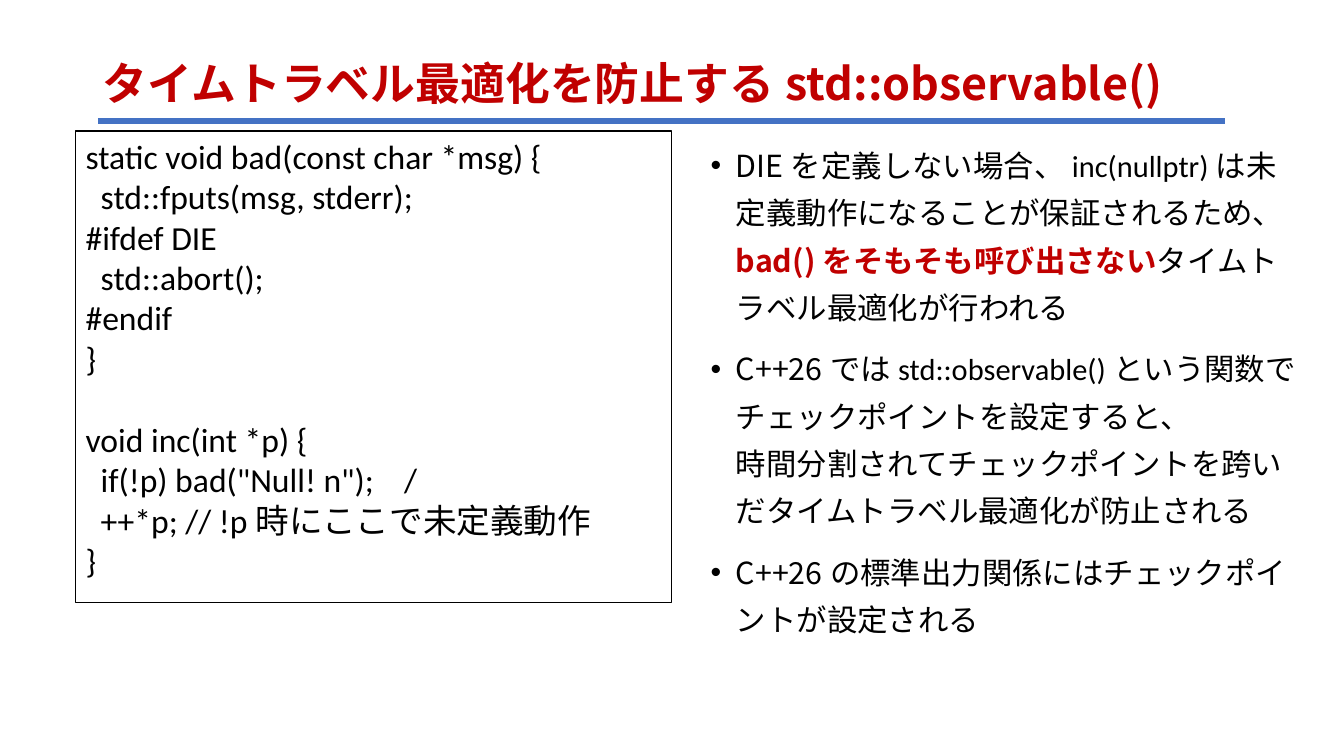
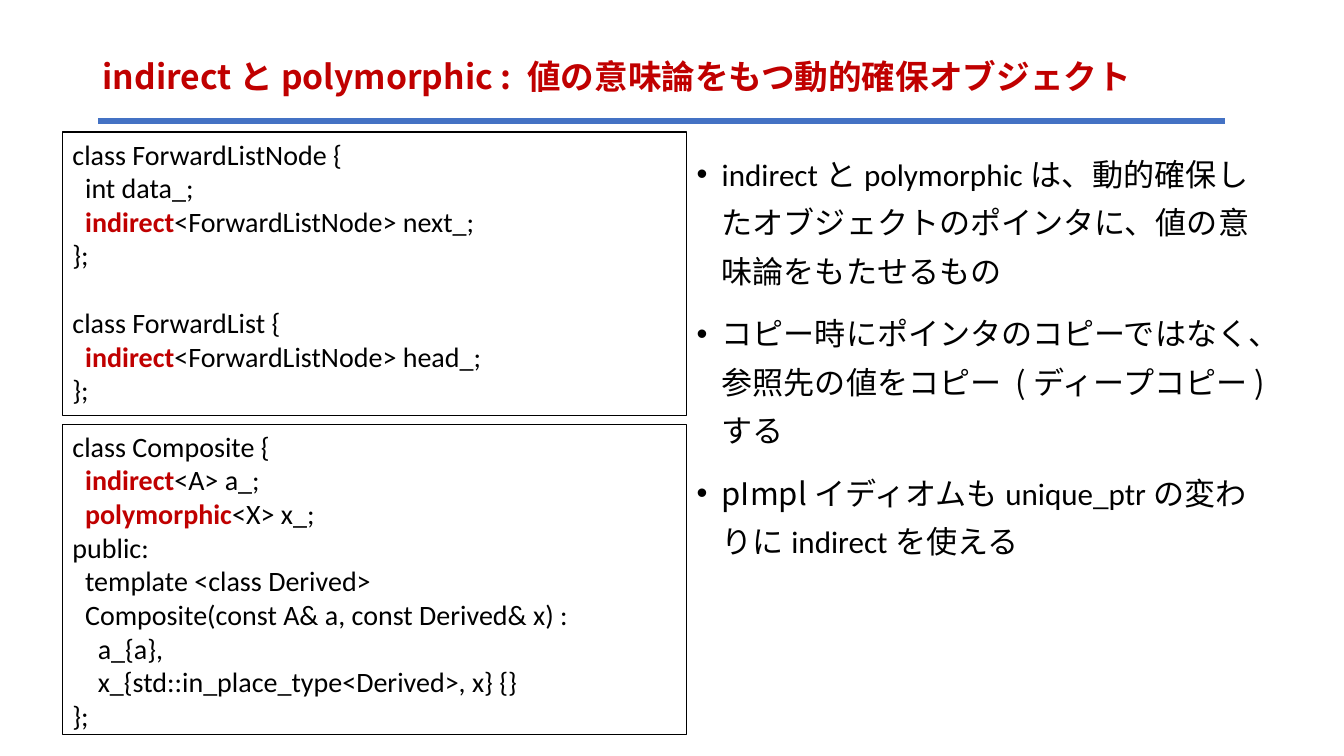
from pptx import Presentation
from pptx.dml.color import RGBColor
from pptx.enum.shapes import MSO_CONNECTOR, MSO_SHAPE
from pptx.enum.text import MSO_ANCHOR, PP_ALIGN
from pptx.oxml.ns import qn
from pptx.util import Inches, Pt
from lxml import etree

RECTANGLE, STRAIGHT = MSO_SHAPE.RECTANGLE, MSO_CONNECTOR.STRAIGHT
TOP, MIDDLE, LEFT = MSO_ANCHOR.TOP, MSO_ANCHOR.MIDDLE, PP_ALIGN.LEFT

COLORS = {"text": "000000", "accent": "C00000", "rule": "4472C4", "paper": "FFFFFF"}
LATIN, JAPANESE = "Calibri", "Noto Sans CJK JP"

# Run styles: font, colour, bold
STYLES = {
    "title": (JAPANESE, "accent", True),
    "body": (JAPANESE, "text", False),
    "strong": (JAPANESE, "accent", True),
    "code": (LATIN, "text", False),
    "keyword": (LATIN, "accent", True),
}


def color(name):
    return RGBColor.from_string(COLORS[name])


class Deck:
    def __init__(self):
        self.prs = Presentation()
        self.prs.slide_width, self.prs.slide_height = Inches(13.33), Inches(7.5)
        self.slide = None

    def add_runs(self, paragraph, pieces, size, default):
        """Fill a paragraph from strings and (text, style) pairs."""
        for piece in pieces:
            text, style = (piece, default) if isinstance(piece, str) else piece
            font_name, color_name, bold = STYLES[style]
            for index, line in enumerate(text.split("\n")):
                if index:
                    paragraph.add_line_break()
                run = paragraph.add_run()
                run.text = line
                font = run.font
                font.name, font.size, font.bold = font_name, Pt(size), bold
                font.color.rgb = color(color_name)
                east_asian = etree.Element(qn("a:ea"), typeface=JAPANESE)
                font._element.find(qn("a:latin")).addnext(east_asian)

    def text_box(self, left, top, width, height, anchor=TOP):
        box = self.slide.shapes.add_textbox(
            Inches(left), Inches(top), Inches(width), Inches(height))
        frame = box.text_frame
        frame.word_wrap, frame.vertical_anchor = True, anchor
        return frame

    def start_slide(self, title, size, top):
        """Add a slide with its title and the rule below it."""
        self.slide = self.prs.slides.add_slide(self.prs.slide_layouts[6])
        paragraph = self.text_box(0.92, top, 11.5, 0.9, MIDDLE).paragraphs[0]
        paragraph.line_spacing = 0.9
        self.add_runs(paragraph, [title], size, "title")
        rule = self.slide.shapes.add_connector(
            STRAIGHT, Inches(0.97), Inches(1.2), Inches(12.15), Inches(1.2))
        rule.line.color.rgb, rule.line.width = color("rule"), Pt(3.75)
        etree.SubElement(rule._element.spPr, qn("a:effectLst"))

    def bullets(self, left, top, width, height, size, items):
        frame = self.text_box(left, top, width, height)
        for index, pieces in enumerate(items):
            paragraph = frame.add_paragraph() if index else frame.paragraphs[0]
            paragraph.line_spacing, paragraph.space_before = 1.3, Pt(10)
            props = paragraph._p.get_or_add_pPr()
            indent = Inches(0.25)
            props.set("marL", str(indent))
            props.set("indent", str(-indent))
            etree.SubElement(props, qn("a:buFont"), typeface="Arial")
            etree.SubElement(props, qn("a:buChar"), char="•")
            self.add_runs(paragraph, pieces, size, "body")

    def code(self, left, top, width, height, size, blocks):
        """Add a framed listing; blocks stand one line apart."""
        panel = self.slide.shapes.add_shape(
            RECTANGLE, Inches(left), Inches(top), Inches(width), Inches(height))
        panel.shadow.inherit = False
        panel.fill.solid()
        panel.fill.fore_color.rgb = color("paper")
        panel.line.color.rgb, panel.line.width = color("text"), Pt(1)
        frame = panel.text_frame
        frame.word_wrap, frame.vertical_anchor = True, TOP
        paragraph = frame.paragraphs[0]
        for block_index, block in enumerate(blocks):
            for line_index, line in enumerate(block):
                if block_index or line_index:
                    paragraph = frame.add_paragraph()
                if block_index and not line_index:
                    paragraph.space_before = Pt(round(size * 1.22, 1))
                paragraph.alignment = LEFT
                pieces = [line] if isinstance(line, str) else line
                self.add_runs(paragraph, pieces, size, "code")

    def code_mark(self, left, top, width, height, size, text):
        frame = self.text_box(left, top, width, height)
        self.add_runs(frame.paragraphs[0], [text], size, "code")


def observable_slide(deck):
    deck.start_slide("タイムトラベル最適化を防止するstd::observable()", 32, 0.4)
    deck.bullets(6.95, 1.3, 6.01, 5.8, 21.7, [
        ["DIEを定義しない場合、", ("inc(nullptr)", "code"),
         "は未定義動作になることが保証されるため、",
         ("bad()をそもそも呼び出さない", "strong"),
         "タイムトラベル最適化が行われる"],
        ["C++26では", ("std::observable()", "code"),
         "という関数でチェックポイントを設定すると、\n"
         "時間分割されてチェックポイントを跨いだタイムトラベル最適化が防止される"],
        ["C++26の標準出力関係にはチェックポイントが設定される"],
    ])
    deck.code(0.75, 1.3, 5.91, 4.68, 24, [
        ["static void bad(const char *msg) {",
         "  std::fputs(msg, stderr);",
         "#ifdef DIE",
         "  std::abort();",
         "#endif",
         "}"],
        ["void inc(int *p) {",
         '  if(!p) bad("Null! n");',
         "  ++*p; // !p時にここで未定義動作",
         "}"],
    ])
    deck.code_mark(3.91, 4.5, 0.44, 0.5, 24, "/")


def indirect_slide(deck):
    indirect = ("indirect", "keyword")
    deck.start_slide("indirectとpolymorphic : 値の意味論をもつ動的確保オブジェクト", 24, 0.33)
    deck.bullets(6.81, 1.38, 5.89, 4.16, 22.2, [
        [("indirect", "code"), "と", ("polymorphic", "code"),
         "は、動的確保したオブジェクトのポインタに、値の意味論をもたせるもの"],
        ["コピー時にポインタのコピーではなく、参照先の値をコピー (ディープコピー)する"],
        ["pImplイディオムも", ("unique_ptr", "code"), "の変わりに",
         ("indirect", "code"), "を使える"],
    ])
    # List example
    deck.code(0.62, 1.31, 6.19, 2.81, 20, [
        ["class ForwardListNode {",
         "  int data_;",
         ["  ", indirect, "<ForwardListNode> next_;"],
         "};"],
        ["class ForwardList {",
         ["  ", indirect, "<ForwardListNode> head_;"],
         "};"],
    ])
    # Composite example
    deck.code(0.62, 4.21, 6.19, 3.08, 20, [
        ["class Composite {",
         ["  ", indirect, "<A> a_;"],
         ["  ", ("polymorphic", "keyword"), "<X> x_;"],
         "public:",
         "  template <class Derived>",
         "  Composite(const A& a, const Derived& x) :",
         "    a_{a},",
         "    x_{std::in_place_type<Derived>, x} {}",
         "};"],
    ])


def main():
    deck = Deck()
    observable_slide(deck)
    indirect_slide(deck)
    deck.prs.save("out.pptx")


if __name__ == "__main__":
    main()
